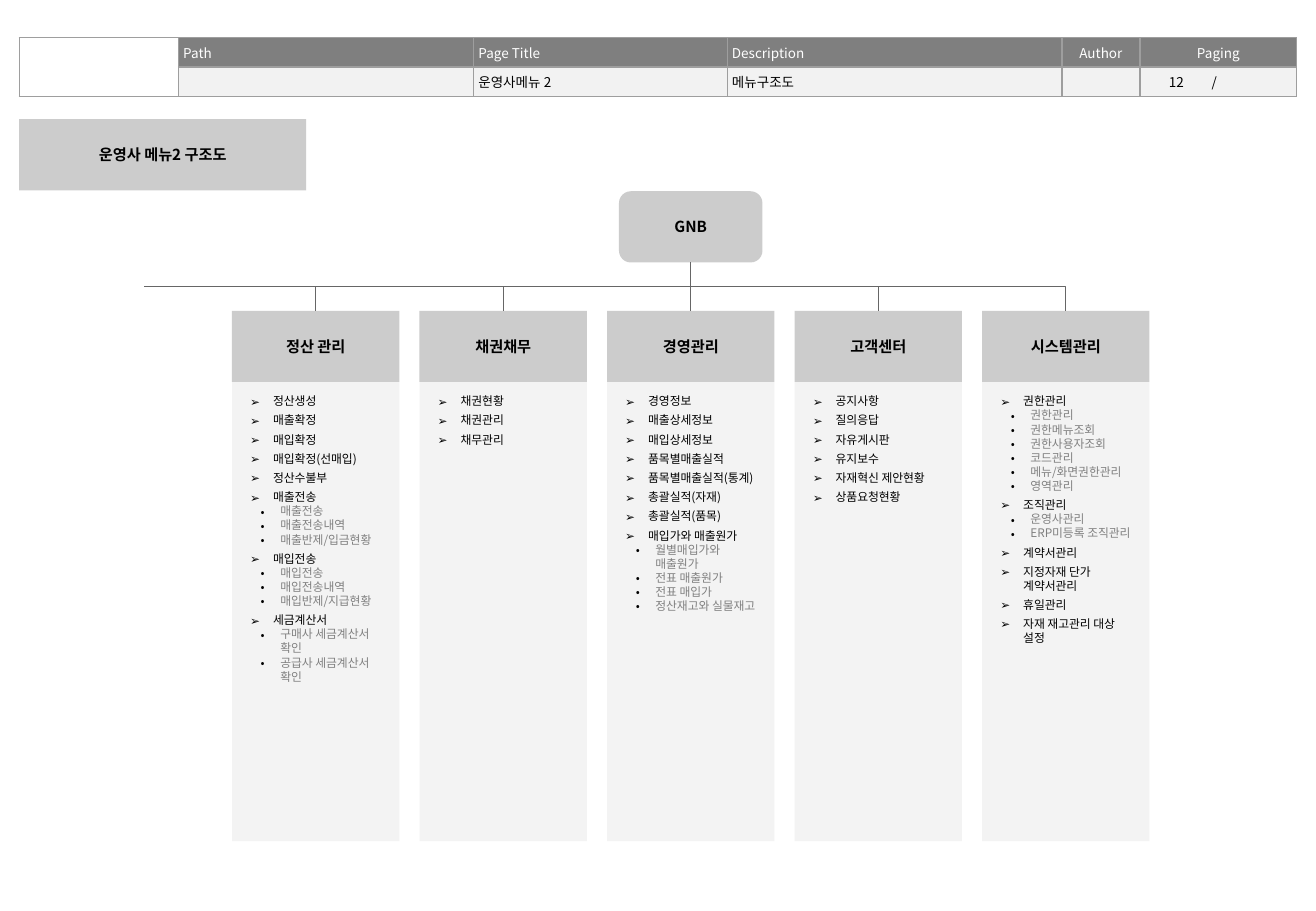
from copy import deepcopy
from dataclasses import dataclass, field
from typing import Any, NamedTuple, Optional

from lxml.etree import SubElement
from pptx import Presentation
from pptx.dml.color import RGBColor
from pptx.enum.shapes import MSO_CONNECTOR, MSO_SHAPE
from pptx.enum.text import MSO_ANCHOR as Anchor, MSO_AUTO_SIZE, PP_ALIGN as Align
from pptx.oxml.ns import qn
from pptx.util import Cm, Pt


@dataclass(frozen=True)
class Theme:
    font: str = "Noto Sans CJK KR"
    black: RGBColor = RGBColor(0, 0, 0)
    white: RGBColor = RGBColor(255, 255, 255)
    sub_text: RGBColor = RGBColor(0x80, 0x80, 0x80)
    table_head: RGBColor = RGBColor(0x7F, 0x7F, 0x7F)
    table_body: RGBColor = RGBColor(0xF2, 0xF2, 0xF2)
    border: str = "9E9E9E"
    box: RGBColor = RGBColor(0xCC, 0xCC, 0xCC)
    panel: RGBColor = RGBColor(0xF3, 0xF3, 0xF3)
    connector: RGBColor = RGBColor(0x66, 0x66, 0x66)
    heading_size: float = 9
    table_size: float = 8
    list_size: float = 7
    list_line: float = 8.35
    line_width: float = 0.75


class Box(NamedTuple):
    left: float
    top: float
    width: float
    height: float


@dataclass
class Item:
    text: str
    children: list[str] = field(default_factory=list)


@dataclass
class Menu:
    title: str
    items: list[Item]


class HeaderCell(NamedTuple):
    row: int
    column: int
    text: str = ""
    align: Align = Align.LEFT
    open_sides: str = ""


THEME = Theme()
MENUS = [
    Menu("정산 관리", [
        Item("정산생성"), Item("매출확정"), Item("매입확정"), Item("매입확정(선매입)"), Item("정산수불부"),
        Item("매출전송", ["매출전송", "매출전송내역", "매출반제/입금현황"]),
        Item("매입전송", ["매입전송", "매입전송내역", "매입반제/지급현황"]),
        Item("세금계산서", ["구매사 세금계산서 확인", "공급사 세금계산서 확인"])]),
    Menu("채권채무", [Item("채권현황"), Item("채권관리"), Item("채무관리")]),
    Menu("경영관리", [
        Item("경영정보"), Item("매출상세정보"), Item("매입상세정보"), Item("품목별매출실적"),
        Item("품목별매출실적(통계)"), Item("총괄실적(자재)"), Item("총괄실적(품목)"),
        Item("매입가와 매출원가", ["월별매입가와 매출원가", "전표 매출원가", "전표 매입가", "정산재고와 실물재고"])]),
    Menu("고객센터", [
        Item("공지사항"), Item("질의응답"), Item("자유게시판"), Item("유지보수"),
        Item("자재혁신 제안현황"), Item("상품요청현황")]),
    Menu("시스템관리", [
        Item("권한관리", ["권한관리", "권한메뉴조회", "권한사용자조회", "코드관리", "메뉴/화면권한관리", "영역관리"]),
        Item("조직관리", ["운영사관리", "ERP미등록 조직관리"]),
        Item("계약서관리"), Item("지정자재 단가 계약서관리"), Item("휴일관리"), Item("자재 재고관리 대상 설정")]),
]
COLUMN_WIDTHS = [3.33, 6.17, 5.3, 7, 1.63, 1.02, 1.07, 1.19]
HEADER_CELLS = [
    HeaderCell(0, 0), HeaderCell(1, 0),
    HeaderCell(0, 1, "Path"), HeaderCell(0, 2, "Page Title"), HeaderCell(0, 3, "Description"),
    HeaderCell(0, 4, "Author", Align.CENTER), HeaderCell(0, 5, "Paging", Align.CENTER),
    HeaderCell(0, 6), HeaderCell(0, 7),
    HeaderCell(1, 1), HeaderCell(1, 2, "운영사메뉴 2"), HeaderCell(1, 3, "메뉴구조도"), HeaderCell(1, 4),
    HeaderCell(1, 5, "12", Align.RIGHT, "R"), HeaderCell(1, 6, "/", Align.CENTER, "LR"),
    HeaderCell(1, 7, open_sides="L"),
]
MENU_LEFT, MENU_PITCH, MENU_WIDTH = 4.85, 3.92, 3.5
MENU_TOP, BOX_HEIGHT, PANEL_HEIGHT = 6.5, 1.49, 9.6
GNB_TOP, GNB_WIDTH = 4, 3
CENTRE = MENU_LEFT + 2 * MENU_PITCH + MENU_WIDTH / 2


def add_run(paragraph: Any, text: str, size: float, color: RGBColor, bold: bool = False) -> None:
    run = paragraph.add_run()
    run.text = text
    run.font.size, run.font.bold, run.font.name = Pt(size), bold, THEME.font
    run.font.color.rgb = color
    SubElement(run.font._element, qn("a:ea"), typeface=THEME.font)


def place(shape: Any, box: Box, fill: RGBColor, anchor: Anchor) -> None:
    shape.left, shape.top, shape.width, shape.height = map(Cm, box)
    shape.fill.solid()
    shape.fill.fore_color.rgb = fill
    shape.line.fill.background()
    frame = shape.text_frame
    frame.word_wrap, frame.auto_size = True, MSO_AUTO_SIZE.NONE
    frame.vertical_anchor = anchor
    frame.margin_left = frame.margin_right = frame.margin_top = frame.margin_bottom = Cm(0.25)


def format_heading(shape: Any, box: Box, text: str) -> None:
    place(shape, box, THEME.box, Anchor.MIDDLE)
    paragraph = shape.text_frame.paragraphs[0]
    paragraph.alignment = Align.CENTER
    add_run(paragraph, text, THEME.heading_size, THEME.black, True)


def add_heading(slide: Any, kind: MSO_SHAPE, box: Box, text: str) -> Any:
    shape = slide.shapes.add_shape(kind, *map(Cm, box))
    shape.shadow.inherit = False
    format_heading(shape, box, text)
    return shape


def fill_list(shape: Any, box: Box, items: list[Item]) -> None:
    place(shape, box, THEME.panel, Anchor.TOP)
    frame = shape.text_frame
    lines = [(text, text_level) for item in items
             for text, text_level in [(item.text, 0), *((child, 1) for child in item.children)]]
    for index, (text, level) in enumerate(lines):
        paragraph = frame.add_paragraph() if index else frame.paragraphs[0]
        paragraph.alignment = Align.LEFT
        paragraph.line_spacing = Pt(THEME.list_line)
        paragraph.space_before = Pt(3 if index and level == 0 else 0)
        margin, indent, bullet = ((0.61, -0.48, "➢"), (0.76, -0.41, "•"))[level]
        properties = paragraph._p.get_or_add_pPr()
        properties.set("marL", str(Cm(margin)))
        properties.set("indent", str(Cm(indent)))
        SubElement(SubElement(properties, qn("a:buClr")), qn("a:srgbClr"), val=str(THEME.black))
        SubElement(properties, qn("a:buFont"), typeface=THEME.font)
        SubElement(properties, qn("a:buChar"), char=bullet)
        add_run(paragraph, text, THEME.list_size, THEME.sub_text if level else THEME.black)


def add_header_table(slide: Any) -> None:
    table = slide.shapes.add_table(2, len(COLUMN_WIDTHS), Cm(0.4), Cm(0.79),
                                   Cm(sum(COLUMN_WIDTHS)), Cm(1.2)).table
    table.first_row = table.horz_banding = False
    for column, width in zip(table.columns, COLUMN_WIDTHS):
        column.width = Cm(width)
    for spec_cell in HEADER_CELLS:
        cell = table.cell(spec_cell.row, spec_cell.column)
        cell.vertical_anchor = Anchor.MIDDLE
        cell.margin_left = cell.margin_right = cell.margin_top = cell.margin_bottom = Cm(0.1)
        for side in "LRTB":
            line = SubElement(cell._tc.get_or_add_tcPr(), qn(f"a:ln{side}"), w=str(Pt(THEME.line_width)))
            if side in spec_cell.open_sides:
                SubElement(line, qn("a:noFill"))
            else:
                SubElement(SubElement(line, qn("a:solidFill")), qn("a:srgbClr"), val=THEME.border)
        if spec_cell.column == 0:
            cell.fill.background()
        else:
            cell.fill.solid()
            cell.fill.fore_color.rgb = THEME.table_body if spec_cell.row else THEME.table_head
        paragraph = cell.text_frame.paragraphs[0]
        paragraph.alignment = spec_cell.align
        if spec_cell.text:
            add_run(paragraph, spec_cell.text, THEME.table_size, THEME.black if spec_cell.row else THEME.white)
        else:
            SubElement(paragraph._p, qn("a:endParaRPr"), sz=str(THEME.table_size * 100))
    table.cell(0, 0).merge(table.cell(1, 0))
    table.cell(0, 5).merge(table.cell(0, 7))


def add_branch(slide: Any, gnb: Any, end_x: float, end_y: float, target: Optional[Any] = None) -> None:
    start_y = GNB_TOP + BOX_HEIGHT
    across, down = abs(end_x - CENTRE), end_y - start_y
    connector = slide.shapes.add_connector(MSO_CONNECTOR.ELBOW, Cm(CENTRE), Cm(start_y), Cm(end_x), Cm(end_y))
    connector.begin_connect(gnb, 2)
    properties = connector.element.spPr
    if target is not None:
        connector.end_connect(target, 0)
    else:
        properties.find(qn("a:prstGeom")).set("prst", "bentConnector2")
    # A quarter turn makes the elbow leave downwards
    to_right = end_x > CENTRE + 0.01
    connector.left, connector.top = Cm((CENTRE + end_x - down) / 2), Cm((start_y + end_y - across) / 2)
    connector.width, connector.height = Cm(down), Cm(across)
    connector.rotation = 270 if to_right else 90
    frame = properties.find(qn("a:xfrm"))
    frame.set("flipH", "1" if to_right else "0")
    frame.set("flipV", "0")
    connector.line.color.rgb = THEME.connector
    connector.line.width = Pt(THEME.line_width)
    SubElement(properties, qn("a:effectLst"))


def main() -> None:
    presentation = Presentation()
    presentation.slide_width, presentation.slide_height = Cm(27.51), Cm(19.05)

    # Layout with one body placeholder per menu
    layout = presentation.slide_layouts[1]
    body = layout.placeholders[1].element
    for number in range(len(MENUS) - 1, 0, -1):
        extra = deepcopy(body)
        extra.find(".//" + qn("p:cNvPr")).set("id", str(20 + number))
        extra.find(".//" + qn("p:ph")).set("idx", str(20 + number))
        body.addnext(extra)
    slide = presentation.slides.add_slide(layout)
    panels = [shape for shape in slide.placeholders if shape.placeholder_format.idx]

    # Page header and title
    add_header_table(slide)
    title = slide.shapes.title
    title.left = Cm(0.4)
    geometry = SubElement(title.element.spPr, qn("a:prstGeom"), prst="roundRect")
    SubElement(geometry, qn("a:avLst"))
    format_heading(title, Box(0.4, 2.49, 6, BOX_HEIGHT), "운영사 메뉴2 구조도")

    # Menu tree
    gnb = add_heading(slide, MSO_SHAPE.ROUNDED_RECTANGLE,
                      Box(CENTRE - GNB_WIDTH / 2, GNB_TOP, GNB_WIDTH, BOX_HEIGHT), "GNB")
    for index, (menu, panel) in enumerate(zip(MENUS, panels)):
        left = MENU_LEFT + index * MENU_PITCH
        heading = add_heading(slide, MSO_SHAPE.RECTANGLE, Box(left, MENU_TOP, MENU_WIDTH, BOX_HEIGHT), menu.title)
        fill_list(panel, Box(left, MENU_TOP + BOX_HEIGHT, MENU_WIDTH, PANEL_HEIGHT), menu.items)
        add_branch(slide, gnb, left + MENU_WIDTH / 2, MENU_TOP, heading)
    add_branch(slide, gnb, 3, (GNB_TOP + BOX_HEIGHT + MENU_TOP) / 2)
    presentation.save("out.pptx")


if __name__ == "__main__":
    main()
